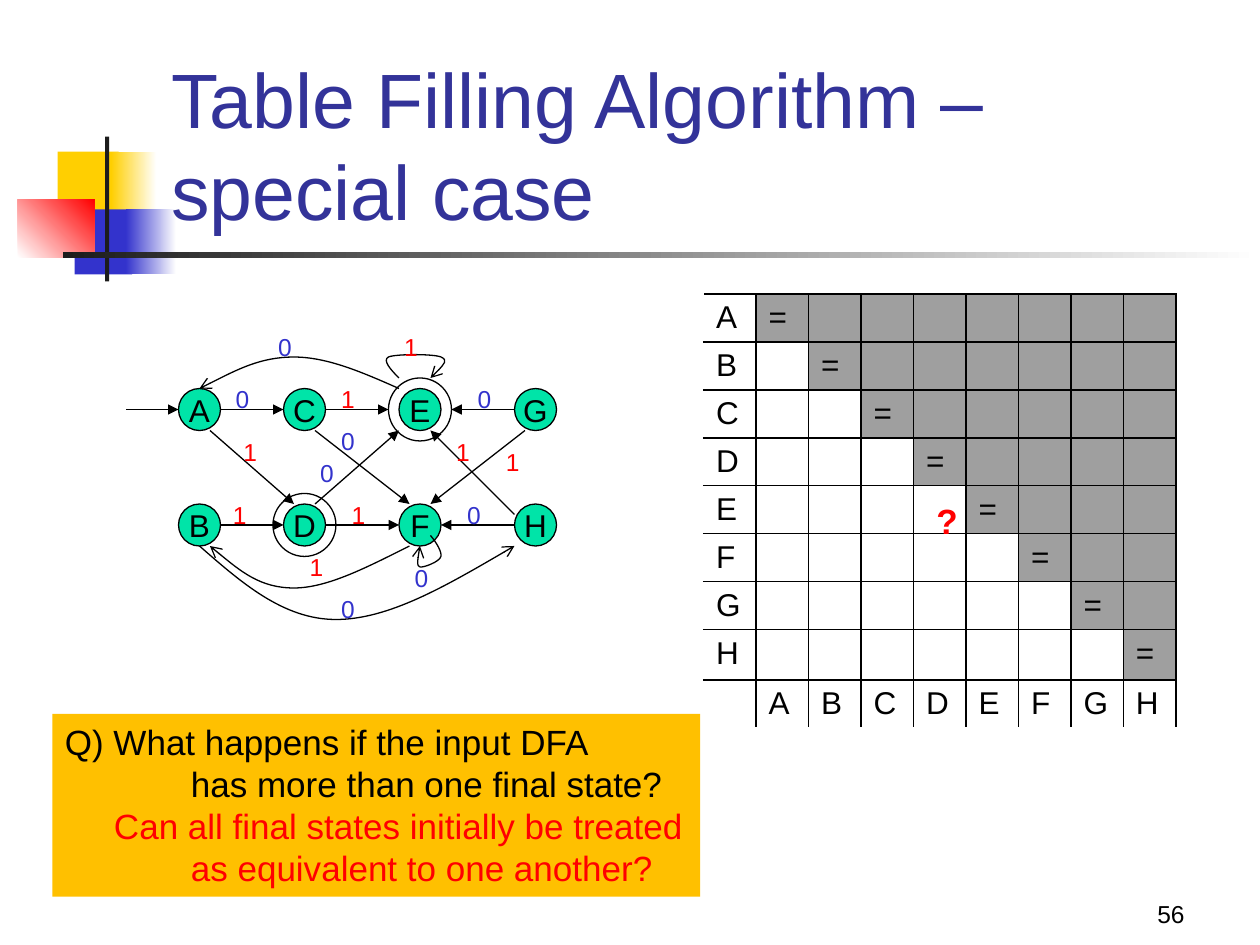
from pptx import Presentation
from pptx.dml.color import RGBColor
from pptx.enum.shapes import MSO_CONNECTOR, MSO_SHAPE
from pptx.enum.text import MSO_ANCHOR, PP_ALIGN
from pptx.oxml.ns import qn
from pptx.util import Inches, Pt
from lxml import etree

BLACK = RGBColor(0, 0, 0)
WHITE = RGBColor(255, 255, 255)
RED = RGBColor(255, 0, 0)
BLUE = RGBColor(0x33, 0x33, 0xCC)
NAVY = RGBColor(0x33, 0x33, 0x99)
YELLOW = RGBColor(0xFF, 0xCF, 0x01)
AMBER = RGBColor(0xFF, 0xC0, 0x00)
GREEN = RGBColor(0x00, 0xE4, 0xA8)
GRAY = RGBColor(0x9F, 0x9F, 0x9F)
DARK = RGBColor(0x1C, 0x1C, 0x1C)
RECT, OVAL = MSO_SHAPE.RECTANGLE, MSO_SHAPE.OVAL
STRAIGHT = MSO_CONNECTOR.STRAIGHT
TOP, MIDDLE, BOTTOM = MSO_ANCHOR.TOP, MSO_ANCHOR.MIDDLE, MSO_ANCHOR.BOTTOM
LEFT, CENTER, RIGHT = PP_ALIGN.LEFT, PP_ALIGN.CENTER, PP_ALIGN.RIGHT


def unit(*vals):
    """Turn grid steps of a twelfth of an inch into lengths."""
    return [Inches(v / 12) for v in vals]


class Deck:
    """Hold the style and the current slide, on a 120 by 90 grid."""

    font = "Arial"
    thin = Pt(0.75)

    def __init__(self):
        """Start a deck with one titled slide."""
        self.prs = Presentation()
        self.prs.slide_width, self.prs.slide_height = unit(120, 90)
        self.slide = self.prs.slides.add_slide(self.prs.slide_layouts[5])
        self.shapes = self.slide.shapes

    def style(self, para, size, color, align=LEFT, bold=False):
        """Format one paragraph."""
        para.alignment = align
        font = para.font
        font.name, font.size, font.bold = self.font, Pt(size), bold
        font.color.rgb = color

    def title(self, text, box):
        """Fill the title placeholder and bring it to the front."""
        shape = self.shapes.title
        shape.left, shape.top, shape.width, shape.height = unit(*box)
        frame = shape.text_frame
        frame.text, frame.vertical_anchor = text, BOTTOM
        self.style(frame.paragraphs[0], 44, NAVY)
        self.shapes._spTree.append(shape._element)

    def shape(self, kind, box, fill=None, fade=None, angle=0, line=False):
        """Add a preset shape with a plain, fading or empty fill."""
        shape = self.shapes.add_shape(kind, *unit(*box))
        shape.shadow.inherit = False
        if fade:
            shape.fill.gradient()
            shape.fill.gradient_angle = angle
            for stop, color in zip(shape.fill.gradient_stops, (fill, fade)):
                stop.color.rgb = color
        elif fill:
            shape.fill.solid()
            shape.fill.fore_color.rgb = fill
        else:
            shape.fill.background()
        if line:
            self.ink(shape)
        else:
            shape.line.fill.background()
        return shape

    def ink(self, shape, head=None):
        """Draw a thin black line, with an arrowhead if asked."""
        shape.line.color.rgb = BLACK
        shape.line.width = self.thin
        if head:
            ln = shape._element.spPr.find(qn("a:ln"))
            etree.SubElement(ln, qn("a:tailEnd"), type=head)

    def text(self, text, box, size, color, align=LEFT, anchor=TOP, bold=False):
        """Add a short text box."""
        frame = self.shapes.add_textbox(*unit(*box)).text_frame
        frame.word_wrap = align == RIGHT
        frame.text, frame.vertical_anchor = text, anchor
        self.style(frame.paragraphs[0], size, color, align, bold)

    def note(self, box, parts):
        """Add a filled box of parts, each with its first indent and colour."""
        frame = self.shape(RECT, box, AMBER).text_frame
        frame.word_wrap, frame.vertical_anchor = False, TOP
        for i, (text, first, color) in enumerate(parts):
            para = frame.add_paragraph() if i else frame.paragraphs[0]
            para.text = text
            self.style(para, 20, color)
            props = para._p.get_or_add_pPr()
            props.set("marL", str(Inches(1)))
            props.set("indent", str(Inches(first - 1)))

    def state(self, name, x, y, final=False):
        """Add a state circle, ringed if final."""
        shape = self.shape(OVAL, (x, y, 4, 4), GREEN, line=True)
        frame = shape.text_frame
        frame.text, frame.word_wrap = name, False
        frame.vertical_anchor = MIDDLE
        self.style(frame.paragraphs[0], 18, BLACK, CENTER)
        if final:
            self.shape(OVAL, (x - 1, y - 1, 6, 6), line=True)

    def arrow(self, *ends):
        """Add a straight arrow."""
        line = self.shapes.add_connector(STRAIGHT, *unit(*ends))
        self.ink(line, "triangle")
        etree.SubElement(line._element.spPr, qn("a:effectLst"))

    def curve(self, *pts):
        """Add an arrow along a chain of cubic curves."""
        pts = [unit(*p) for p in pts]
        pen = self.shapes.build_freeform(*pts[0])
        pen.add_line_segments(pts[1:], close=False)
        shape = pen.convert_to_shape()
        shape.shadow.inherit = False
        shape.fill.background()
        self.ink(shape, "arrow")
        legs = list(shape._element.iter(qn("a:lnTo")))
        for i in range(0, len(legs), 3):
            bend = etree.Element(qn("a:cubicBezTo"))
            legs[i].addprevious(bend)
            for leg in legs[i:i + 3]:
                bend.append(leg[0])
                leg.getparent().remove(leg)

    def border(self, cell, sides):
        """Draw black lines on the named sides of a cell."""
        props = cell._tc.get_or_add_tcPr()
        for side in sides:
            ln = etree.SubElement(props, qn("a:ln" + side), w=str(Pt(1)))
            fill = etree.SubElement(ln, qn("a:solidFill"))
            etree.SubElement(fill, qn("a:srgbClr"), val=str(BLACK))

    def pairs(self, names, x, y):
        """Add the triangular table of state pairs."""
        n = len(names)
        table = self.shapes.add_table(
            n + 1, n + 1, *unit(x, y, 5 * (n + 1), 43.2)).table
        table.first_row = table.horz_banding = False
        for col in table.columns:
            col.width = unit(5)[0]
        for r, row in enumerate(table.rows):
            row.height = unit(4.8 if r == n - 1 else 3.75)[0]
            for c, cell in enumerate(row.cells):
                if c == 0:
                    cell.text = names[r:r + 1]
                elif r == n:
                    cell.text = names[c - 1]
                elif c == r + 1:
                    cell.text = "="
                self.style(cell.text_frame.paragraphs[0], 18, BLACK)
                self.border(cell, ("L" if c else "") + "RT"
                            + ("B" if r < n else ""))
                if c > r:
                    cell.fill.solid()
                    cell.fill.fore_color.rgb = GRAY
                else:
                    cell.fill.background()


def main():
    """Build the slide."""
    deck = Deck()
    for box, fill, fade, angle in (
            ((5.5, 14.45, 5.8, 6.2), YELLOW, None, 0),
            ((10.6, 14.45, 4.3, 6.2), YELLOW, WHITE, 0),
            ((7.1, 19.95, 5.5, 6.2), BLUE, None, 0),
            ((12, 19.95, 4.8, 6.2), BLUE, WHITE, 0),
            ((1.7, 19, 7.3, 5.5), WHITE, RED, 45),
            ((10, 13, 0.4, 13.8), DARK, None, 0),
            ((6, 24, 114, 0.6), DARK, WHITE, 0)):
        deck.shape(RECT, box, fill, fade, angle)
    deck.text("56", (89, 83, 25, 6), 14, BLACK, RIGHT, BOTTOM)
    deck.title("Table Filling Algorithm – special case", (15.1, 8.1, 102.2, 15))
    deck.pairs("ABCDEFGH", 67, 28)
    deck.note((5, 68, 61.7, 17.4), (
        ("Q) What happens if the input DFA\v"
         "has more than one final state?", 0, BLACK),
        ("Can all final states initially be treated\v"
         "as equivalent to one another?", 0.39, RED)))

    for y, names in ((37, "ACEG"), (48, "BDFH")):
        for x, name in zip((17, 27, 38, 49), names):
            deck.state(name, x, y, name in "DE")
    for ends in ((12, 39, 17, 39), (21, 39, 27, 39), (31, 39, 37, 39),
                 (49, 39, 43, 39), (21, 50, 27, 50), (31, 50, 38, 50),
                 (49, 50, 42, 50), (20, 41, 28, 48), (30, 48, 38, 41),
                 (30, 41, 39, 48), (50, 41, 41, 48), (49, 49, 41, 41)):
        deck.arrow(*ends)
    deck.curve((39, 52), (35, 54), (31.2, 56), (28, 56),
               (24.8, 56), (22.4, 54), (20, 52))
    deck.curve((19, 52), (23, 55.5), (27, 59), (32, 59),
               (37, 59), (43, 55.5), (49, 52))
    deck.curve((41, 51), (41.6, 51.7), (42.1, 52.6), (42, 53), (41.9, 53.5),
               (40.3, 54.1), (40, 54), (39.7, 53.9), (39.8, 52.9), (40, 52))
    deck.curve((38, 36), (37.2, 35.2), (36.4, 34.3), (37, 34), (37.7, 33.7),
               (41.3, 33.7), (42, 34), (42.7, 34.3), (41.9, 35.2), (41, 36))
    deck.curve((38, 37), (34.6, 35.5), (31.2, 34), (28, 34),
               (24.8, 34), (22, 35.5), (19, 37))

    zeros = ((21.25, 36), (25.3, 31), (31.3, 56), (43.3, 47),
             (38.3, 53), (44.3, 36), (31.3, 40), (29.3, 43))
    ones = ((22, 41), (21, 47), (28.3, 52), (32.3, 47),
            (47, 42), (42.25, 41), (37.3, 31), (31.3, 36))
    for digit, color, spots in (("0", BLUE, zeros), ("1", RED, ones)):
        for x, y in spots:
            deck.text(digit, (x, y, 3.7, 4), 14, color)
    deck.text("?", (88, 47, 4.4, 5.3), 20, RED, bold=True)
    deck.prs.save("out.pptx")


if __name__ == "__main__":
    main()
